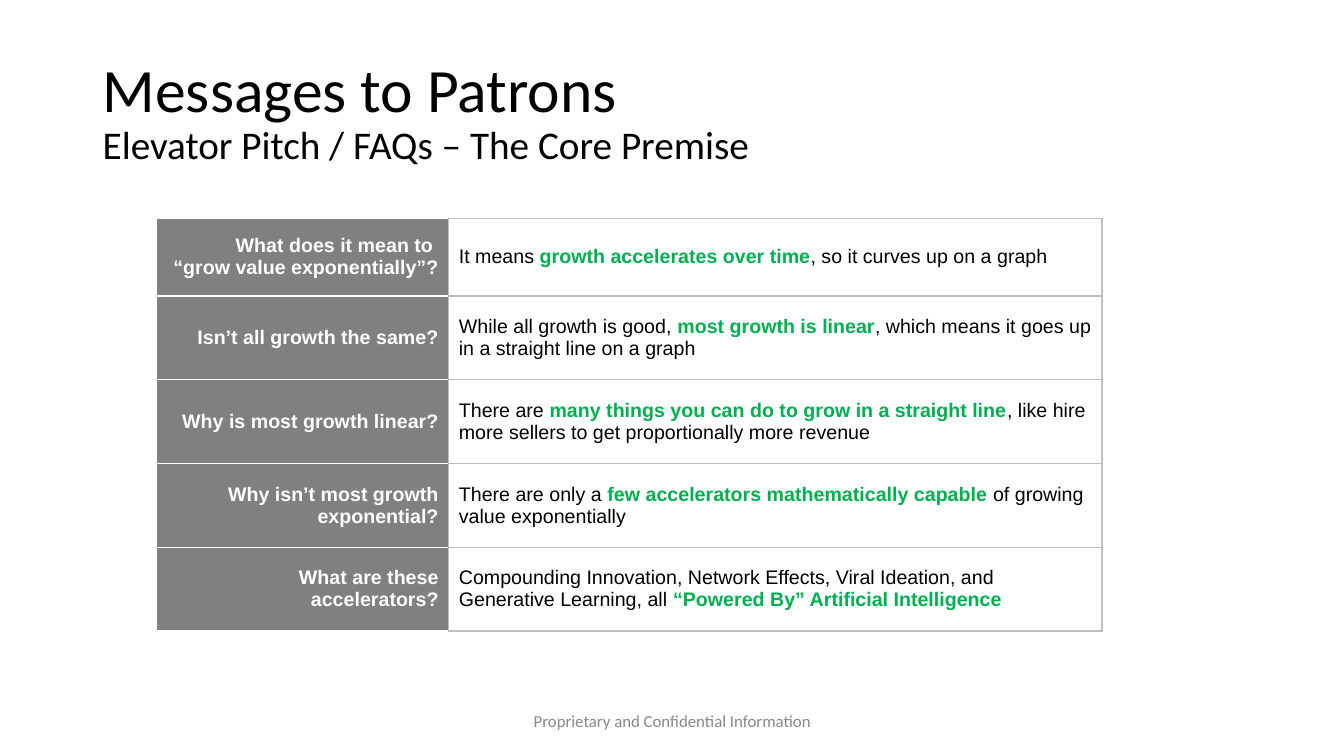
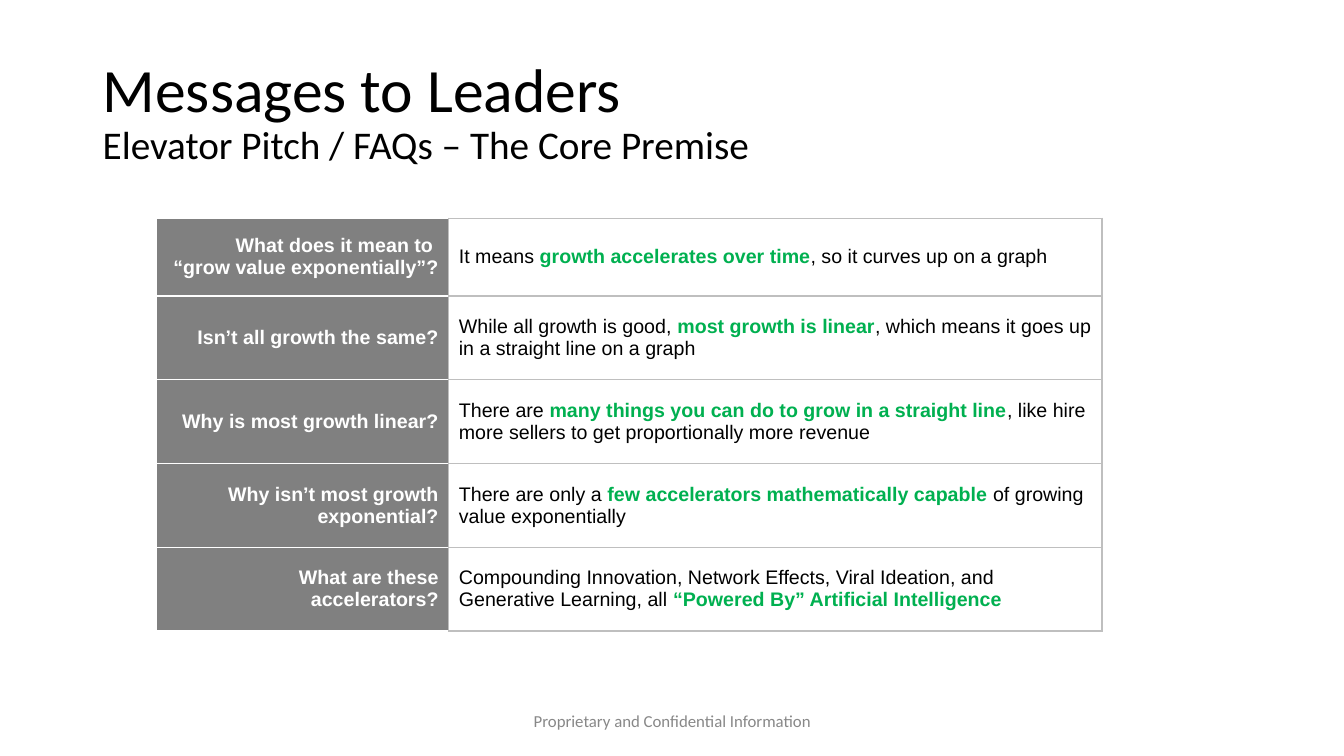
import pptx
import pptx.dml.color
import pptx.enum.text
import pptx.oxml
import pptx.oxml.ns
import pptx.util

Cm, Pt = pptx.util.Cm, pptx.util.Pt
ALIGN = pptx.enum.text.PP_ALIGN
MIDDLE = pptx.enum.text.MSO_ANCHOR.MIDDLE

COLORS = {
    "text": "000000",
    "accent": "00B050",
    "label": "808080",
    "label_text": "FFFFFF",
    "white": "FFFFFF",
    "grid": "BFBFBF",
    "footer": "888888",
}

SUBTITLE = "Elevator Pitch / FAQs – The Core Premise"
FOOTER = "Proprietary and Confidential Information"

# Question, then the answer as (plain, accented, plain)
FAQS = [
    ("What does it mean to \n“grow value exponentially”?",
     ("It means ", "growth accelerates over time", ", so it curves up on a graph")),
    ("Isn’t all growth the same?",
     ("While all growth is good, ", "most growth is linear",
      ", which means it goes up in a straight line on a graph")),
    ("Why is most growth linear?",
     ("There are ", "many things you can do to grow in a straight line",
      ", like hire more sellers to get proportionally more revenue")),
    ("Why isn’t most growth exponential?",
     ("There are only a ", "few accelerators mathematically capable ",
      "of growing value exponentially")),
    ("What are these accelerators?",
     ("Compounding Innovation, Network Effects, Viral Ideation, and Generative Learning, all ",
      "“Powered By” Artificial Intelligence", "")),
]


def write(p, text, size=14, font="Arial", color="text", bold=False):
    """Add text to a paragraph; a newline becomes a line break."""
    for i, line in enumerate(text.split("\n")):
        if i:
            p.add_line_break()
        if line:
            r = p.add_run()
            r.text = line
            r.font.size = Pt(size)
            r.font.name = font
            r.font.bold = bold
            r.font.color.rgb = pptx.dml.color.RGBColor.from_string(COLORS[color])


def set_borders(cell, **sides):
    """Draw 1 pt cell borders; sides are L, R, T and B in that order."""
    tcPr = cell._tc.get_or_add_tcPr()
    for side, color in sides.items():
        tcPr.append(pptx.oxml.parse_xml(
            f'<a:ln{side} {pptx.oxml.ns.nsdecls("a")} w="{Pt(1)}"><a:solidFill>'
            f'<a:srgbClr val="{COLORS[color]}"/></a:solidFill></a:ln{side}>'))


class Deck:
    columns = (7.37, 16.46)
    first_row, other_rows = 1.96, 2.11

    def __init__(self):
        self.prs = pptx.Presentation()
        self.prs.slide_width, self.prs.slide_height = Cm(33.87), Cm(19.05)
        self.s = None

    def add_slide(self, title):
        self.s = self.prs.slides.add_slide(self.prs.slide_layouts[6])
        self.title(title)
        self.footer()

    def text_box(self, left, top, width, height):
        tf = self.s.shapes.add_textbox(Cm(left), Cm(top), Cm(width), Cm(height)).text_frame
        tf.word_wrap = True
        tf.vertical_anchor = MIDDLE
        return tf.paragraphs[0]

    def title(self, text):
        p = self.text_box(2.34, 1.02, 24.87, 3.68)
        p.line_spacing = 0.9
        write(p, text + "\n", size=44, font="Calibri")
        write(p, SUBTITLE, size=28, font="Calibri")

    def footer(self):
        p = self.text_box(11.23, 17.65, 11.43, 1.02)
        p.alignment = ALIGN.CENTER
        write(p, FOOTER, size=12, font="Calibri", color="footer")

    def faq_table(self, faqs):
        heights = [self.first_row] + [self.other_rows] * (len(faqs) - 1)
        table = self.s.shapes.add_table(
            len(faqs), len(self.columns), Cm(3.94), Cm(5.5),
            Cm(sum(self.columns)), Cm(sum(heights))).table
        table.first_row = table.horz_banding = False
        for column, width in zip(table.columns, self.columns):
            column.width = Cm(width)
        for i, (question, answer) in enumerate(faqs):
            table.rows[i].height = Cm(heights[i])
            self.question(table.cell(i, 0), question)
            self.answer(table.cell(i, 1), answer)

    def question(self, cell, text):
        set_borders(cell, L="white", R="grid", T="white", B="white")
        cell.fill.solid()
        cell.fill.fore_color.rgb = pptx.dml.color.RGBColor.from_string(COLORS["label"])
        cell.vertical_anchor = MIDDLE
        p = cell.text_frame.paragraphs[0]
        p.alignment = ALIGN.RIGHT
        write(p, text, color="label_text", bold=True)

    def answer(self, cell, parts):
        set_borders(cell, L="grid", R="grid", T="grid", B="grid")
        cell.fill.background()
        cell.vertical_anchor = MIDDLE
        p = cell.text_frame.paragraphs[0]
        before, accent, after = parts
        write(p, before)
        write(p, accent, color="accent", bold=True)
        write(p, after)


def main():
    deck = Deck()
    # One slide per audience, with the same questions
    for audience in ("Patrons", "Leaders"):
        deck.add_slide(f"Messages to {audience}")
        deck.faq_table(FAQS)
    deck.prs.save("out.pptx")


if __name__ == "__main__":
    main()
